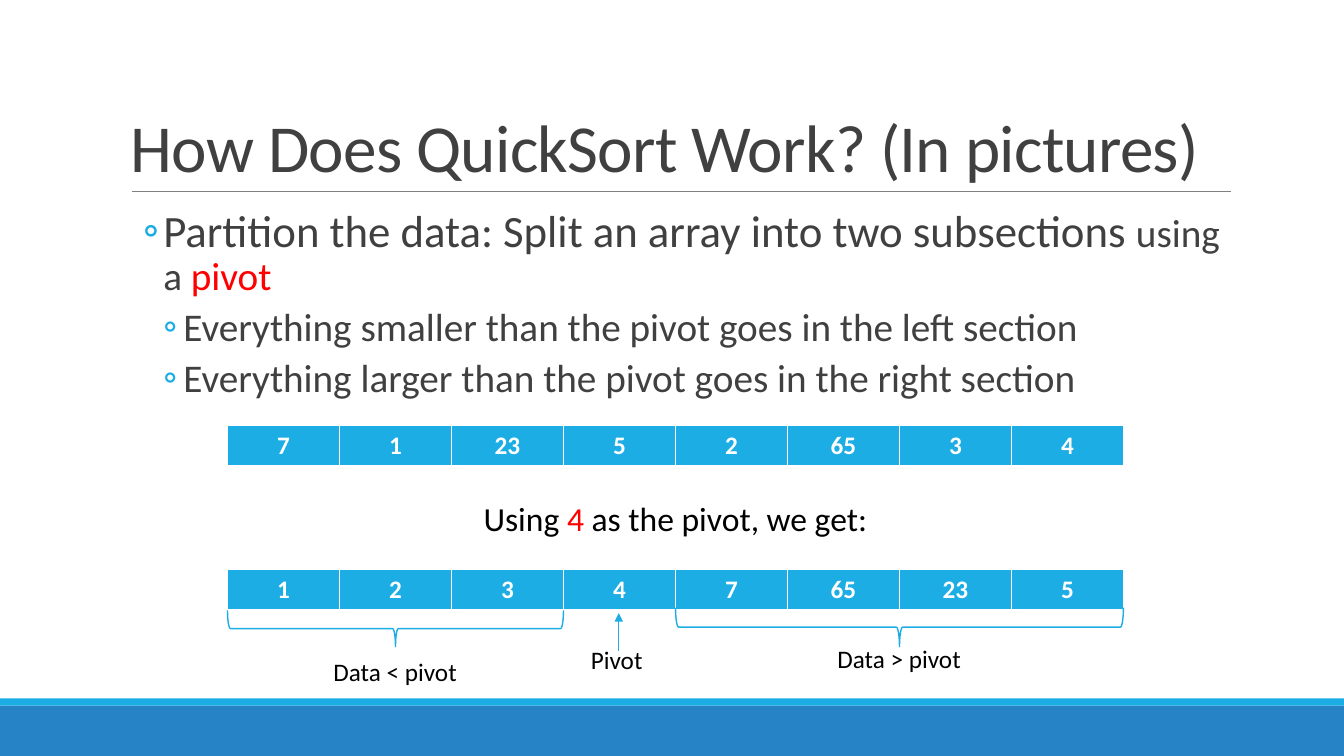
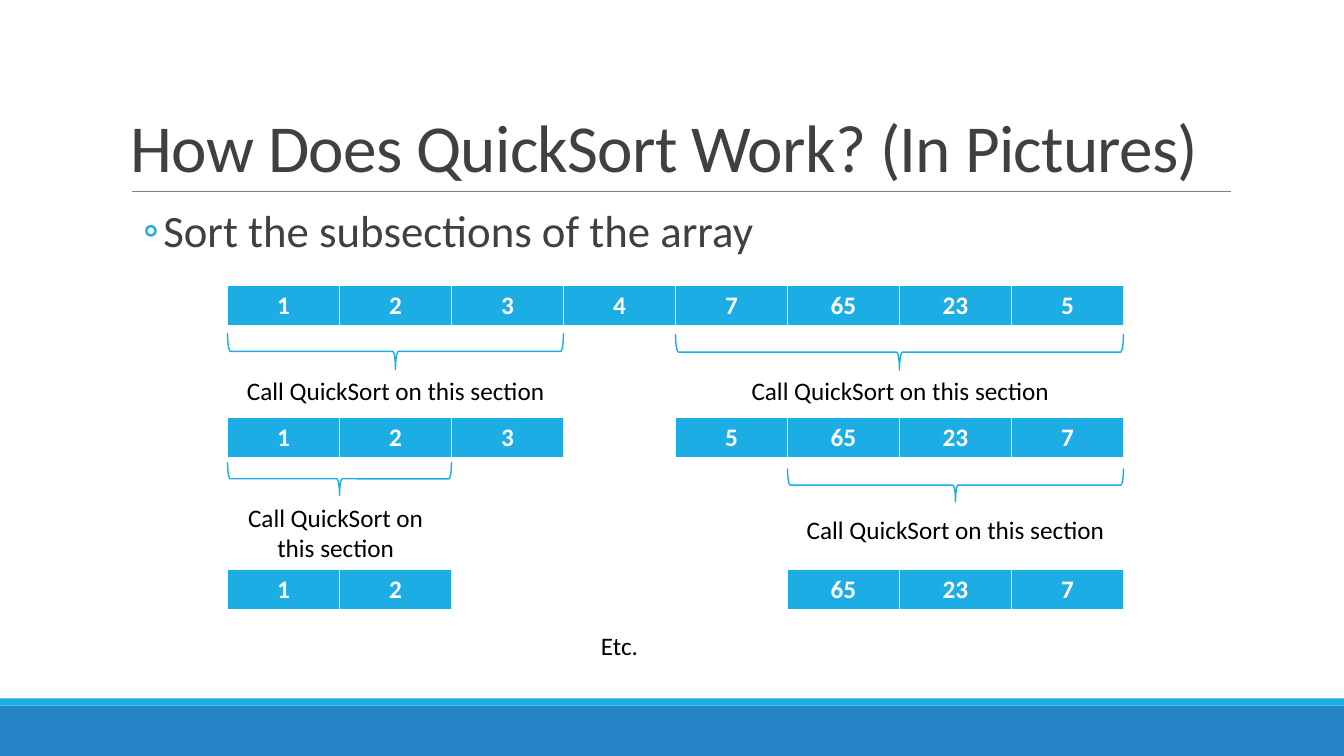
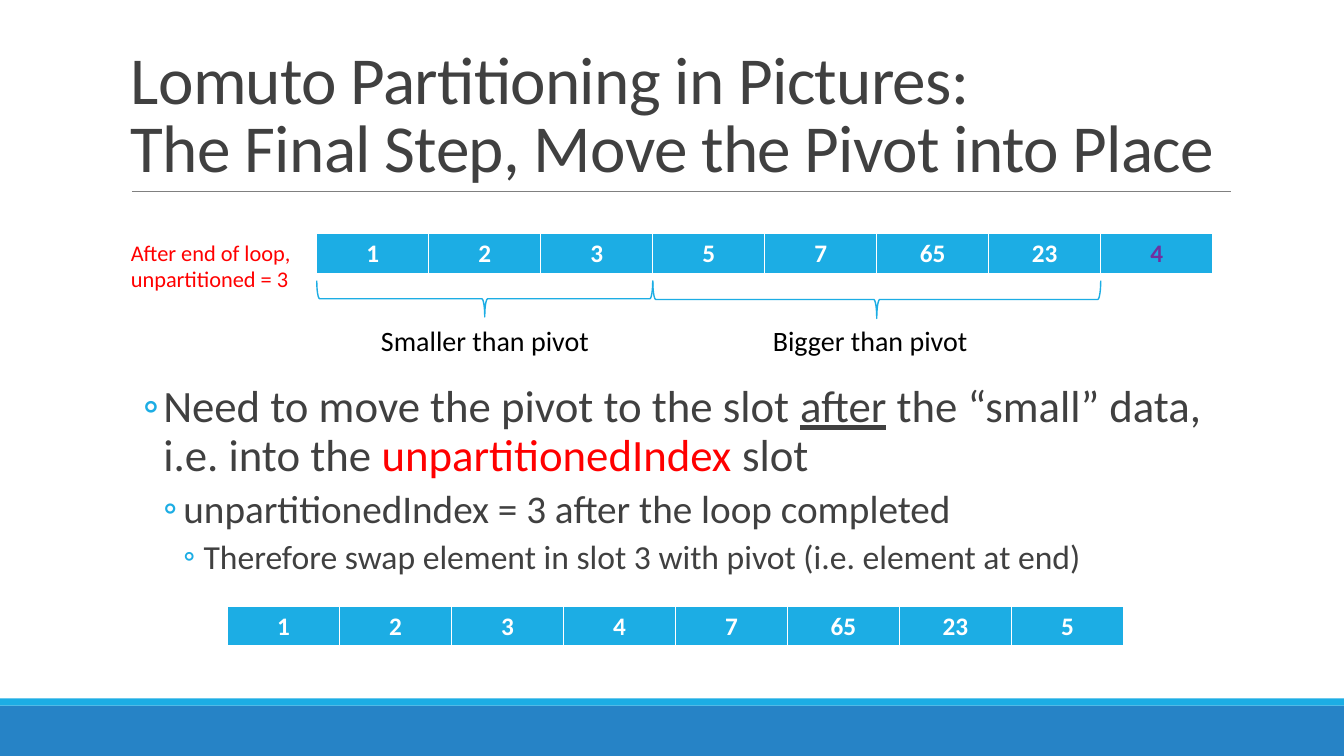
from dataclasses import dataclass

from lxml import etree
from pptx import Presentation
from pptx.dml.color import RGBColor
from pptx.enum.shapes import MSO_CONNECTOR, MSO_SHAPE
from pptx.enum.text import MSO_ANCHOR, PP_ALIGN
from pptx.oxml.ns import qn
from pptx.util import Pt

STRAIGHT = MSO_CONNECTOR.STRAIGHT
RECTANGLE = MSO_SHAPE.RECTANGLE
BRACE = MSO_SHAPE.RIGHT_BRACE
BOTTOM, TOP = MSO_ANCHOR.BOTTOM, MSO_ANCHOR.TOP
CENTER, LEFT = PP_ALIGN.CENTER, PP_ALIGN.LEFT

FONT = "Calibri"
SKY = RGBColor(0x1C, 0xAD, 0xE4)
BLUE = RGBColor(0x26, 0x83, 0xC6)
CHARCOAL = RGBColor(0x40, 0x40, 0x40)
GRAY = RGBColor(0x80, 0x80, 0x80)
BLACK = RGBColor(0, 0, 0)
WHITE = RGBColor(0xFF, 0xFF, 0xFF)
RED = RGBColor(0xFF, 0, 0)
PURPLE = RGBColor(0x70, 0x30, 0xA0)

PAGE_WIDTH, PAGE_HEIGHT = 960, 540
CONTENT_LEFT, CONTENT_WIDTH = 86.4, 792
CELL_WIDTH, CELL_HEIGHT = 80, 29.2
ARRAY_LEFT = 162.5
SHIFTED_LEFT = 226.25
LEVEL_SIZES = {1: 32, 2: 28, 3: 24}
LEVEL_STEP, FIRST_INDENT = 14.4, 30.24
CALL_LABEL = "Call QuickSort on this section"


@dataclass
class Span:
    text: str
    color: RGBColor = CHARCOAL
    size: float = 0
    underline: bool = False


def column(index, left=ARRAY_LEFT):
    """Left edge of an array column."""
    return left + index * CELL_WIDTH


# Text
def add_span(para, text, size, color, bold=False, underline=False):
    run = para.add_run()
    run.text = text
    font = run.font
    font.name, font.size, font.bold = FONT, Pt(size), bold
    font.color.rgb = color
    if underline:
        font.underline = True
    return run


def add_box(page, left, top, width, height, anchor=TOP, wrap=True):
    box = page.shapes.add_textbox(Pt(left), Pt(top), Pt(width), Pt(height))
    box.text_frame.word_wrap = wrap
    box.text_frame.vertical_anchor = anchor
    return box.text_frame


def add_title(page, lines):
    frame = add_box(page, CONTENT_LEFT, 22.3, CONTENT_WIDTH, 114.5, BOTTOM)
    para = frame.paragraphs[0]
    para.line_spacing = 0.85
    for index, line in enumerate(lines):
        if index:
            para.add_line_break()
        run = add_span(para, line, 48, CHARCOAL)
        run.font._element.set("spc", "-50")


def add_bullet(para, level):
    props = para._p.get_or_add_pPr()
    props.set("marL", str(Pt(FIRST_INDENT + (level - 1) * LEVEL_STEP)))
    props.set("indent", str(-Pt(LEVEL_STEP)))
    color = etree.SubElement(props, qn("a:buClr"))
    etree.SubElement(color, qn("a:srgbClr"), val=str(SKY))
    etree.SubElement(props, qn("a:buFont"), typeface=FONT)
    etree.SubElement(props, qn("a:buChar"), char="◦")


def add_body(page, top, height, items):
    """Items are (level, spans) pairs."""
    frame = add_box(page, CONTENT_LEFT, top, CONTENT_WIDTH, height)
    frame.margin_left = frame.margin_right = 0
    for index, (level, spans) in enumerate(items):
        para = frame.add_paragraph() if index else frame.paragraphs[0]
        para.level = level - 1
        para.line_spacing = 0.9
        para.space_before, para.space_after = Pt(2), Pt(4)
        add_bullet(para, level)
        for span in spans:
            size = span.size or LEVEL_SIZES[level]
            add_span(para, span.text, size, span.color, underline=span.underline)


def add_label(page, left, top, width, height, spans, size=18, align=CENTER, wrap=True):
    frame = add_box(page, left, top, width, height, wrap=wrap)
    para = frame.paragraphs[0]
    para.alignment = align
    for span in spans:
        add_span(para, span.text, size, span.color)


def add_note(page, left, top, width, text):
    """One-line black label."""
    add_label(page, left, top, width, 29, [Span(text, BLACK)], wrap=False)


# Arrays and their marks
def add_borders(cell):
    props = cell._tc.get_or_add_tcPr()
    for index, (side, weight) in enumerate((("L", 1), ("R", 1), ("T", 1), ("B", 3))):
        line = etree.Element(qn("a:ln" + side), w=str(Pt(weight)))
        fill = etree.SubElement(line, qn("a:solidFill"))
        etree.SubElement(fill, qn("a:srgbClr"), val=str(WHITE))
        props.insert(index, line)


def add_array(page, left, top, values, colors=None):
    """Colors maps a value to a text colour other than white."""
    count = len(values)
    frame = page.shapes.add_table(
        1, count, Pt(left), Pt(top), Pt(count * CELL_WIDTH), Pt(CELL_HEIGHT))
    table = frame.table
    table.first_row = table.horz_banding = False
    for index, value in enumerate(values):
        table.columns[index].width = Pt(CELL_WIDTH)
        cell = table.cell(0, index)
        cell.fill.solid()
        cell.fill.fore_color.rgb = SKY
        add_borders(cell)
        para = cell.text_frame.paragraphs[0]
        para.alignment = CENTER
        add_span(para, str(value), 18, (colors or {}).get(value, WHITE), bold=True)


def add_brace(page, left, top, cells, depth=26):
    """Brace below a number of cells, its tip pointing down."""
    span = cells * CELL_WIDTH
    brace = page.shapes.add_shape(
        BRACE, Pt(left + (span - depth) / 2), Pt(top + (depth - span) / 2),
        Pt(depth), Pt(span))
    brace.rotation = 90
    brace.adjustments[0] = 0.08
    brace.shadow.inherit = False
    brace.fill.background()
    brace.line.color.rgb = SKY
    brace.line.width = Pt(1)


def add_line(page, start, end, color, weight, arrow=False):
    line = page.shapes.add_connector(STRAIGHT, *(Pt(value) for value in start + end))
    line.line.color.rgb = color
    line.line.width = Pt(weight)
    if arrow:
        etree.SubElement(line.line._get_or_add_ln(), qn("a:tailEnd"), type="triangle")
    etree.SubElement(line._element.spPr, qn("a:effectLst"))


# Shared page frame
def add_band(page, top, height, color):
    band = page.shapes.add_shape(RECTANGLE, 0, Pt(top), Pt(PAGE_WIDTH), Pt(height))
    band.shadow.inherit = False
    band.fill.solid()
    band.fill.fore_color.rgb = color
    band.line.fill.background()


def add_page(deck, *title_lines):
    page = deck.slides.add_slide(deck.slide_layouts[6])
    add_band(page, 504, 36, BLUE)
    add_band(page, 498.75, 5.25, SKY)
    add_line(page, (94.3, 136.8), (879, 136.8), GRAY, 0.5)
    add_title(page, title_lines)
    return page


# Slides
def build_partition(deck):
    page = add_page(deck, "How Does QuickSort Work? (In pictures)")
    add_body(page, 145.4, 317, [
        (1, [Span("Partition the data: Split an array into two subsections"),
             Span(" using a ", size=28), Span("pivot", RED, 28)]),
        (2, [Span("Everything smaller than the pivot goes in the left section")]),
        (2, [Span("Everything larger than the pivot goes in the right section")]),
    ])
    add_array(page, column(0), 304, [7, 1, 23, 5, 2, 65, 3, 4])
    add_label(page, 324.7, 352, 315.4, 36, [
        Span("Using ", BLACK), Span("4", RED), Span(" as the pivot, we get:", BLACK),
    ], size=24)
    add_array(page, column(0), 407, [1, 2, 3, 4, 7, 65, 23, 5])
    add_brace(page, column(0), 436, 3)
    add_brace(page, column(4), 434, 4, depth=28)
    add_note(page, 230.4, 465.3, 103.7, "Data < pivot")
    add_note(page, 590.4, 456.3, 103.7, "Data > pivot")
    add_line(page, (442, 465), (442, 438), SKY, 1, arrow=True)
    add_note(page, 414.5, 457, 52, "Pivot")


def build_recursion(deck):
    page = add_page(deck, "How Does QuickSort Work? (In Pictures)")
    add_body(page, 145.4, 317, [(1, [Span("Sort the subsections of the array")])])
    add_array(page, column(0), 204, [1, 2, 3, 4, 7, 65, 23, 5])
    # Left section
    add_brace(page, column(0), 238, 3)
    add_note(page, 167.8, 264.4, 229.7, CALL_LABEL)
    add_array(page, column(0), 298.2, [1, 2, 3])
    add_brace(page, column(0), 330, 2, depth=24)
    add_label(page, 158.4, 355, 162.7, 51, [Span(CALL_LABEL, BLACK)])
    add_array(page, column(0), 407, [1, 2])
    # Right section
    add_brace(page, column(4), 238.5, 4)
    add_note(page, 528.2, 264.4, 229.7, CALL_LABEL)
    add_array(page, column(4), 298.2, [5, 65, 23, 7])
    add_brace(page, column(5), 334.5, 3, depth=24)
    add_note(page, column(5), 363.8, 240, CALL_LABEL)
    add_array(page, column(5), 407, [65, 23, 7])
    add_note(page, 422, 446.5, 41, "Etc.")


def build_final_step(deck):
    page = add_page(deck, "Lomuto Partitioning in Pictures:",
                    "The Final Step, Move the Pivot into Place")
    add_body(page, 270.9, 191, [
        (1, [Span("Need to move the pivot to the slot "), Span("after", underline=True),
             Span(" the “small” data, i.e. into the "),
             Span("unpartitionedIndex", RED), Span(" slot")]),
        (2, [Span("unpartitionedIndex = 3 after the loop completed")]),
        (3, [Span("Therefore swap element in slot 3 with pivot (i.e. element at end)")]),
    ])
    add_array(page, SHIFTED_LEFT, 167, [1, 2, 3, 5, 7, 65, 23, 4], {4: PURPLE})
    add_label(page, CONTENT_LEFT, 167, 139.7, 46,
              [Span("After end of loop, unpartitioned = 3", RED)], size=16, align=LEFT)
    add_array(page, column(0), 433, [1, 2, 3, 4, 7, 65, 23, 5])
    add_brace(page, SHIFTED_LEFT, 200.4, 3)
    add_brace(page, column(3, SHIFTED_LEFT), 200.4, 4, depth=27)
    for left, width, text in ((265, 172, "Smaller than pivot"),
                              (545, 155, "Bigger than pivot")):
        add_label(page, left, 227.7, width, 32, [Span(text, BLACK)], size=20, align=LEFT)


def main():
    deck = Presentation()
    deck.slide_width, deck.slide_height = Pt(PAGE_WIDTH), Pt(PAGE_HEIGHT)
    build_partition(deck)
    build_recursion(deck)
    build_final_step(deck)
    deck.save("out.pptx")


if __name__ == "__main__":
    main()
